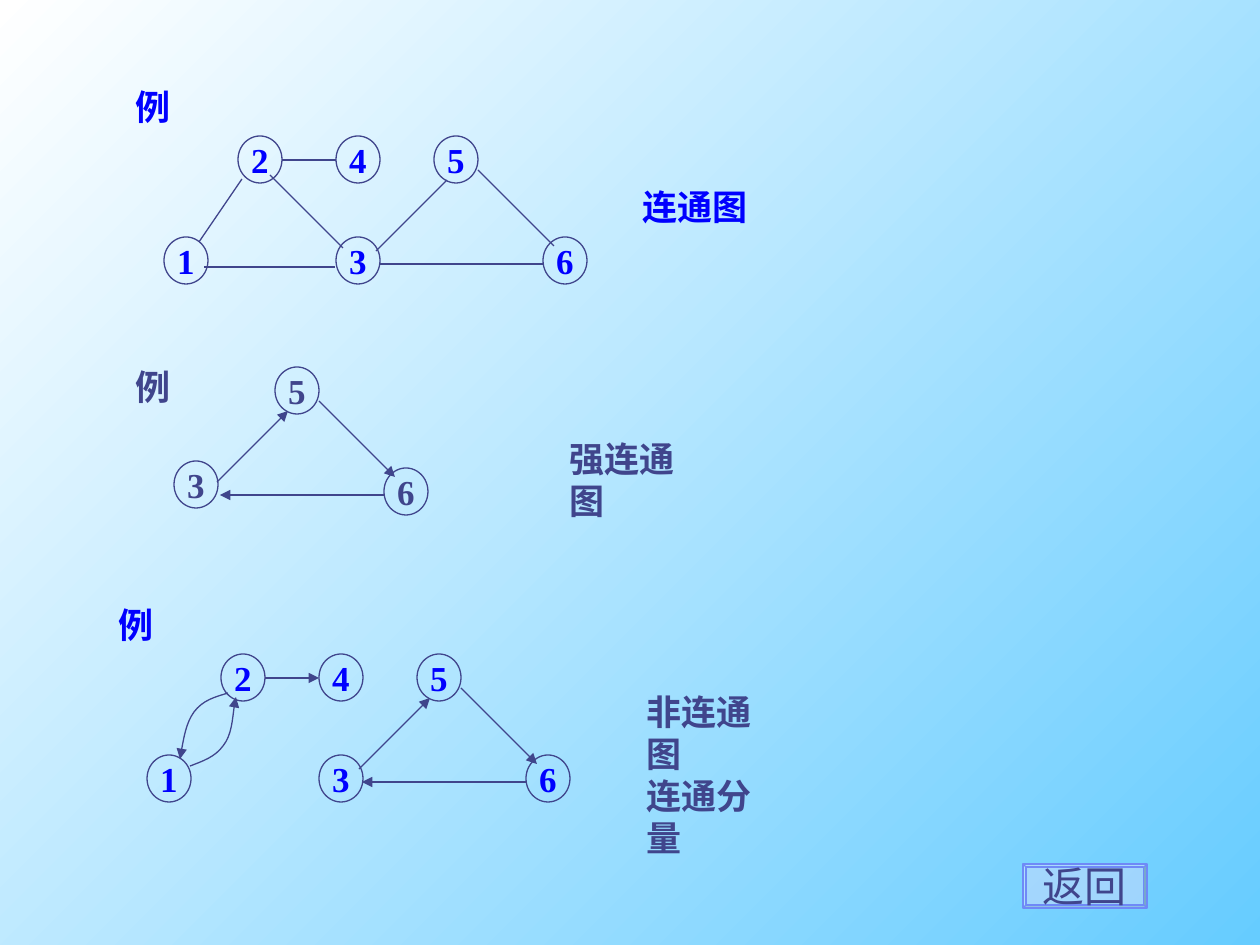
"""Build a slide of connected and strongly connected graph examples."""
from lxml import etree
from pptx import Presentation
from pptx.dml.color import RGBColor
from pptx.enum.shapes import MSO_CONNECTOR, MSO_SHAPE
from pptx.enum.text import MSO_ANCHOR, MSO_AUTO_SIZE, PP_ALIGN
from pptx.oxml.ns import qn
from pptx.util import Pt

PX = 7257.6
BLUE = RGBColor(0x00, 0x00, 0xFF)
INDIGO = RGBColor(0x40, 0x45, 0x8C)
SKY = RGBColor(0x66, 0xCC, 0xFF)
WHITE = RGBColor(0xFF, 0xFF, 0xFF)
BUTTON_FILL = RGBColor(0xCF, 0xDB, 0xFD)
BUTTON_LINE = RGBColor(0x6F, 0x89, 0xF7)
SERIF, SANS = "Times New Roman", "Karla"
STRAIGHT = MSO_CONNECTOR.STRAIGHT
OVAL, BEVEL = MSO_SHAPE.OVAL, MSO_SHAPE.BEVEL
TOP, MIDDLE = MSO_ANCHOR.TOP, MSO_ANCHOR.MIDDLE
LEFT, CENTER = PP_ALIGN.LEFT, PP_ALIGN.CENTER
GROW = MSO_AUTO_SIZE.SHAPE_TO_FIT_TEXT

NODES = {"2": (74, 0), "4": (172, 0), "5": (270, 0),
         "1": (0, 101), "3": (172, 101), "6": (379, 101)}
CYCLE_NODES = {"3": (169, 94), "5": (270, 0), "6": (379, 101)}
CYCLE_EDGES = [(380, 128, 215, 128), (212, 115, 283, 44), (314, 34, 390, 110)]
EDGE_2_4 = (118, 24, 172, 24)
CONNECTING_EDGES = [(106, 39, 179, 112), (171, 131, 40, 131), (35, 106, 78, 43)]
CURVES = [
    [(81, 39), (68, 43), (56, 46), (47, 58), (39, 69), (34, 98), (33, 105)],
    [(43, 112), (56, 107), (68, 103), (76, 92), (85, 81), (87, 49), (89, 43)],
]


def emu(*lengths):
    return [round(length * PX) for length in lengths]


class GraphSlide:
    """Style and drawing methods for the current slide."""

    def __init__(self, slide):
        self.slide = slide
        self.shapes = slide.shapes
        self.origin = (0, 0)

    def background(self, start, end):
        fill = self.slide.background.fill
        fill.gradient()
        fill.gradient_angle = 135
        for stop, color in zip(fill.gradient_stops, (start, end)):
            stop.color.rgb = color

    def add_text(self, shape, lines, color, align, anchor, size=20, font=SERIF, bold=True):
        frame = shape.text_frame
        frame.word_wrap = False
        frame.vertical_anchor = anchor
        for index, line in enumerate(lines):
            paragraph = frame.add_paragraph() if index else frame.paragraphs[0]
            paragraph.alignment = align
            run = paragraph.add_run()
            run.text = line
            run.font.name, run.font.size, run.font.bold = font, Pt(size), bold
            run.font.color.rgb = color

    def label(self, x, y, width, height, lines, color, align=LEFT, anchor=TOP):
        left, top = self.origin
        box = self.shapes.add_textbox(*emu(left + x, top + y, width, height))
        self.add_text(box, lines, color, align, anchor)
        box.text_frame.auto_size = GROW

    def outline(self, shape, color=INDIGO):
        shape.line.color.rgb = color
        shape.line.width = Pt(0.75)

    def arrowhead(self, shape):
        line = shape._element.spPr.find(qn("a:ln"))
        etree.SubElement(line, qn("a:tailEnd"), type="triangle")

    def node(self, name, x, y, color):
        left, top = self.origin
        circle = self.shapes.add_shape(OVAL, *emu(left + x, top + y, 44, 47))
        circle.shadow.inherit = False
        circle.fill.background()
        self.outline(circle)
        self.add_text(circle, [name], color, CENTER, MIDDLE)

    def edge(self, x1, y1, x2, y2, directed):
        left, top = self.origin
        ends = emu(left + x1, top + y1, left + x2, top + y2)
        line = self.shapes.add_connector(STRAIGHT, *ends)
        self.outline(line)
        if directed:
            self.arrowhead(line)
        etree.SubElement(line._element.spPr, qn("a:effectLst"))

    def curve(self, points):
        left, top = self.origin
        start, *rest = [emu(left + x, top + y) for x, y in points]
        builder = self.shapes.build_freeform(*start)
        builder.add_line_segments(rest, close=False)
        arc = builder.convert_to_shape()
        segments = list(arc._element.iter(qn("a:lnTo")))
        for first in range(0, len(segments), 3):
            outline = segments[first].getparent()
            bezier = etree.SubElement(outline, qn("a:cubicBezTo"))
            for segment in segments[first:first + 3]:
                bezier.append(segment[0])
                outline.remove(segment)
        arc.shadow.inherit = False
        arc.fill.background()
        self.outline(arc)
        self.arrowhead(arc)

    def graph(self, origin, nodes, edges, color, label, directed=True, curves=()):
        self.shapes = self.slide.shapes.add_group_shape().shapes
        self.origin = origin
        self.label(*label, 60, 55, ["例"], color, CENTER, MIDDLE)
        for name, (x, y) in nodes.items():
            self.node(name, x, y, color)
        for ends in edges:
            self.edge(*ends, directed)
        for points in curves:
            self.curve(points)
        self.shapes, self.origin = self.slide.shapes, (0, 0)

    def button(self, x, y, width, height, caption):
        shape = self.shapes.add_shape(BEVEL, *emu(x, y, width, height))
        shape.adjustments[0] = 0.07
        shape.shadow.inherit = False
        shape.fill.solid()
        shape.fill.fore_color.rgb = BUTTON_FILL
        color = shape._element.spPr.find(qn("a:solidFill"))[0]
        etree.SubElement(color, qn("a:alpha"), val="50000")
        self.outline(shape, BUTTON_LINE)
        self.add_text(shape, [caption], INDIGO, CENTER, MIDDLE, 24, SANS, False)


def main():
    deck = Presentation()
    deck.slide_width, deck.slide_height = emu(1260, 945)
    page = GraphSlide(deck.slides.add_slide(deck.slide_layouts[6]))
    page.background(SKY, WHITE)
    page.label(630, 179, 130, 55, ["连通图"], BLUE)
    page.graph((147, 654), NODES, [EDGE_2_4, *CYCLE_EDGES], BLUE, (-41, -57),
               curves=CURVES)
    page.label(557, 431, 165, 55, ["强连通图"], INDIGO)
    page.graph((5, 367), CYCLE_NODES, CYCLE_EDGES, INDIGO, (118, -8))
    page.label(634, 684, 165, 97, ["非连通图", "连通分量"], INDIGO)
    page.graph((164, 136), NODES, [EDGE_2_4, *CYCLE_EDGES, *CONNECTING_EDGES],
               BLUE, (-41, -57), directed=False)
    page.button(1023, 864, 124, 44, "返回")
    deck.save("out.pptx")


if __name__ == "__main__":
    main()
